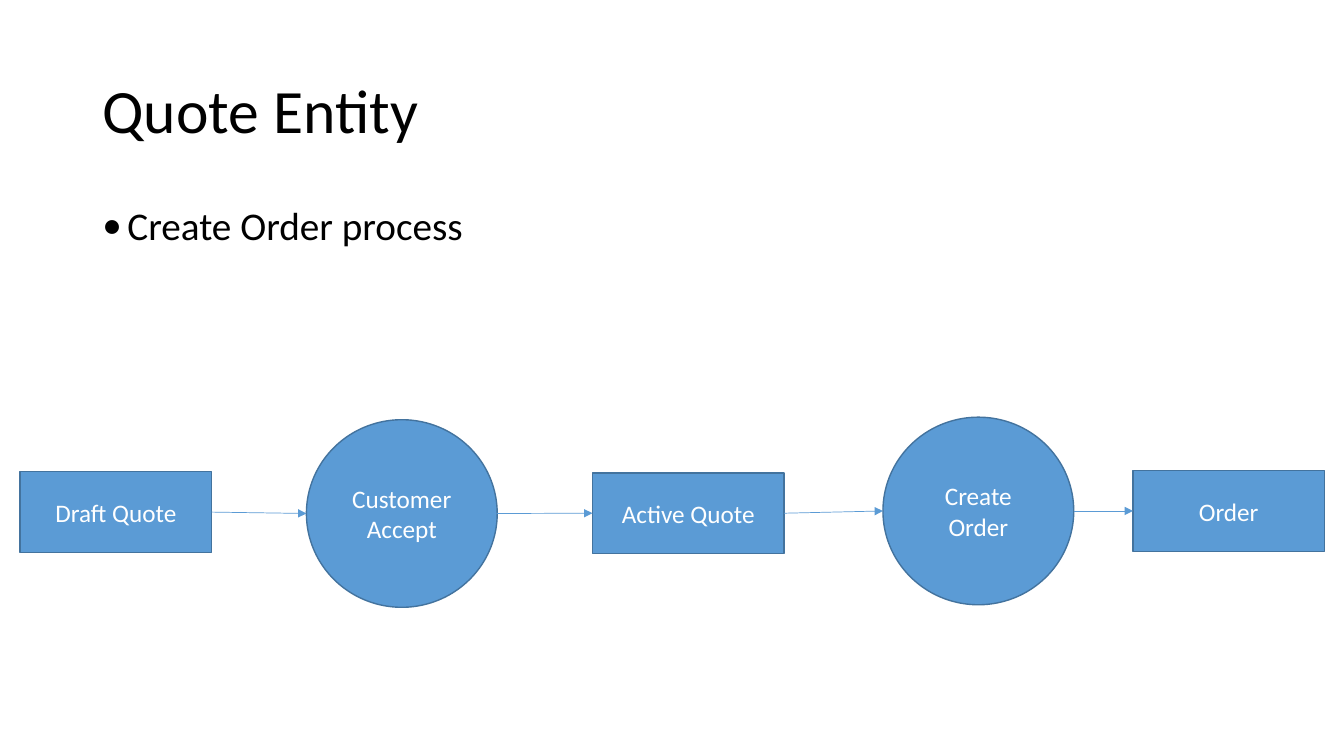
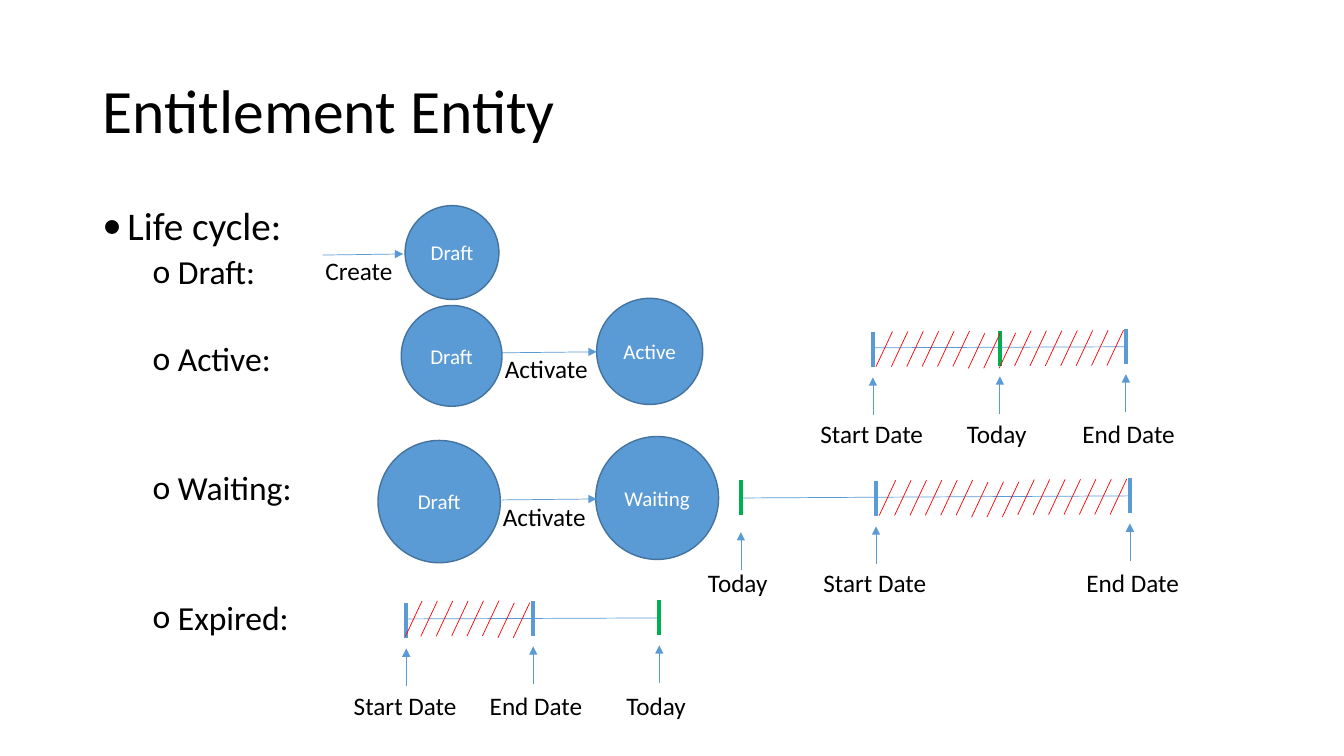
from pptx import Presentation
from pptx.dml.color import RGBColor
from pptx.enum.shapes import MSO_CONNECTOR as Connector, MSO_SHAPE as Shape
from pptx.enum.text import MSO_ANCHOR as Anchor, PP_ALIGN as Align
from pptx.oxml.ns import qn
from pptx.util import Pt
from lxml.etree import SubElement

BLUE, EDGE, GREEN, RED = "5B9BD5", "43739E", "00B050", "FF0000"
BLACK, WHITE = "000000", "FFFFFF"
FONT = "Calibri"
TITLE_BOX = (66, 28.8, 828, 104.4)
BODY_BOX = (66, 144, 828, 342.7)

LEVELS = [
    {"bullet": "•", "margin": 18, "size": 28},
    {"bullet": "o", "margin": 54, "size": 24},
]

QUOTE_BODY = [("Create Order process", 0, 0)]
QUOTE_STEPS = [
    ("Draft Quote", "entity", 14.4, 365.8),
    ("Customer Accept", "action", 218.9, 366.8),
    ("Active Quote", "entity", 423.2, 366.6),
    ("Create Order", "action", 630.7, 365),
    ("Order", "entity", 809.3, 365),
]
STEP_STYLES = {
    "entity": (Shape.RECTANGLE, 136.8, 57.6),
    "action": (Shape.OVAL, 136.3, 134),
}

LIFE_CYCLE_BODY = [
    ("Life cycle:", 0, 0),
    ("Draft:", 1, 5),
    ("Active:", 1, 36),
    ("Waiting:", 1, 66.5),
    ("Expired:", 1, 66.5),
]
STATES = [
    ("Draft", 289.4, 146.9, 67),
    ("Draft", 286.6, 218.2, 72),
    ("Active", 426.2, 213.1, 75.8),
    ("Draft", 270, 314.6, 87.4),
    ("Waiting", 425.5, 311.8, 87.8),
]
TRANSITIONS = [
    ("Create", (230.4, 182.2), (288, 181.4), (225.4, 178.6, 64.8)),
    ("Activate", (358.6, 252), (426.2, 251.3), (353.5, 249.1, 86.4)),
    ("Activate", (358.6, 357.1), (426.2, 356.4), (352.1, 354.2, 86.4)),
]

DATE_MARKS = {
    "Start Date": (BLUE, 44.6, 93.6),
    "End Date": (BLUE, 38.2, 85),
    "Today": (GREEN, 30.6, 62),
}
TIMELINES = [
    {
        "marks": [("Start Date", 623.5, 236.9, 0), ("Today", 714.2, 236.2, 0),
                  ("End Date", 804.2, 234.7, 0)],
        "axis": (248.4, 247.7), "labels": 295.4, "hatch": (625.7, 262, 16),
    },
    {
        "marks": [("Today", 529.2, 342.7, 4.8), ("Start Date", 625.7, 343.4, 0),
                  ("End Date", 807.1, 341.3, 0)],
        "axis": (355.7, 354.2), "labels": 401.8, "hatch": (628, 368.3, 16),
    },
    {
        "marks": [("Start Date", 290.2, 430.6, 0), ("End Date", 380.9, 429.1, 0),
                  ("Today", 470.9, 428.4, 0)],
        "axis": (442.1, 441.4), "labels": 489.2, "hatch": (289.6, 454.6, 8),
    },
]
TICK_HEIGHT = 25.2
ARROW_GAP, ARROW_LENGTH = 32.6, 27
HATCH_PITCH, HATCH_LEAN, HATCH_RISE = 11, 11.8, 25.2
HATCH_SLOPE, HATCH_SAG, SAGGING = 0.06, 1.5, (6, 7, 8)


def color(code):
    return RGBColor.from_string(code)


def points(values):
    return [Pt(value) for value in values]


def apply_format(target, values):
    for name, value in values.items():
        setattr(target, name, value)


def set_font(paragraph, size, code):
    apply_format(paragraph.font, {"name": FONT, "size": Pt(size)})
    paragraph.font.color.rgb = color(code)


def add_line(slide, start, end, code=BLUE, width=0.5, arrow=False):
    line = slide.shapes.add_connector(Connector.STRAIGHT, *points((*start, *end)))
    line.line.color.rgb = color(code)
    line.line.width = Pt(width)
    properties = line._element.spPr
    if arrow:
        SubElement(properties.find(qn("a:ln")), qn("a:tailEnd"), type="triangle")
    SubElement(properties, qn("a:effectLst"))
    return line


def add_node(slide, kind, text, box, size):
    node = slide.shapes.add_shape(kind, *points(box))
    node.shadow.inherit = False
    node.fill.solid()
    node.fill.fore_color.rgb = color(BLUE)
    node.line.color.rgb = color(EDGE)
    node.line.width = Pt(1)
    apply_format(node.text_frame, {
        "text": text, "word_wrap": " " in text, "vertical_anchor": Anchor.MIDDLE})
    paragraph = node.text_frame.paragraphs[0]
    paragraph.alignment = Align.CENTER
    set_font(paragraph, size, WHITE)
    return node


def add_label(slide, text, left, top, width):
    label = slide.shapes.add_textbox(*points((left, top, width, 29)))
    apply_format(label.text_frame, {"text": text, "word_wrap": True})
    set_font(label.text_frame.paragraphs[0], 18, BLACK)


def add_body(slide, lines):
    frame = slide.shapes.add_textbox(*points(BODY_BOX)).text_frame
    frame.word_wrap = True
    for index, (text, level, space) in enumerate(lines):
        paragraph = frame.add_paragraph() if index else frame.paragraphs[0]
        style = LEVELS[level]
        properties = paragraph._p.get_or_add_pPr()
        properties.set("marL", str(Pt(style["margin"])))
        properties.set("indent", str(Pt(-18)))
        SubElement(properties, qn("a:buFont"), typeface=FONT)
        SubElement(properties, qn("a:buChar"), char=style["bullet"])
        apply_format(paragraph, {
            "text": text, "level": level, "line_spacing": 0.9, "space_before": Pt(space)})
        set_font(paragraph, style["size"], BLACK)


def add_slide(deck, title, body):
    slide = deck.slides.add_slide(deck.slide_layouts[5])
    heading = slide.shapes.title
    apply_format(heading, dict(zip(("left", "top", "width", "height"), points(TITLE_BOX))))
    apply_format(heading.text_frame, {"text": title, "vertical_anchor": Anchor.MIDDLE})
    paragraph = heading.text_frame.paragraphs[0]
    apply_format(paragraph, {"alignment": Align.LEFT, "line_spacing": 0.9})
    set_font(paragraph, 44, BLACK)
    add_body(slide, body)
    return slide


def add_process(slide, steps):
    previous = None
    for text, style, left, middle in steps:
        kind, width, height = STEP_STYLES[style]
        node = add_node(slide, kind, text, (left, middle - height / 2, width, height), 18)
        if previous:
            source, source_style, exit_point = previous
            arrow = add_line(slide, exit_point, (left, middle), arrow=True)
            if source_style == "entity":
                arrow.begin_connect(source, 3)
            if style == "entity":
                arrow.end_connect(node, 1)
        previous = node, style, (left + width, middle)


def add_hatching(slide, left, bottom, count):
    for index in range(count):
        x = left + index * HATCH_PITCH
        y = bottom - index * HATCH_SLOPE + (HATCH_SAG if index in SAGGING else 0)
        add_line(slide, (x, y), (x + HATCH_LEAN, y - HATCH_RISE), RED)


def add_timeline(slide, timeline):
    marks = timeline["marks"]
    axis_start, axis_end = timeline["axis"]
    add_line(slide, (marks[0][1], axis_start), (marks[-1][1], axis_end))
    for name, x, top, drop in marks:
        code, label_offset, label_width = DATE_MARKS[name]
        add_line(slide, (x, top), (x, top + TICK_HEIGHT), code, 3)
        tip = top + ARROW_GAP + drop
        add_line(slide, (x, tip + ARROW_LENGTH), (x, tip), arrow=True)
        add_label(slide, name, x - label_offset, timeline["labels"], label_width)
    add_hatching(slide, *timeline["hatch"])


def main():
    deck = Presentation()
    deck.slide_width, deck.slide_height = Pt(960), Pt(540)

    quote = add_slide(deck, "Quote Entity", QUOTE_BODY)
    add_process(quote, QUOTE_STEPS)

    entitlement = add_slide(deck, "Entitlement Entity", LIFE_CYCLE_BODY)
    for text, left, top, diameter in STATES:
        add_node(entitlement, Shape.OVAL, text, (left, top, diameter, diameter), 15)
    for text, start, end, label_place in TRANSITIONS:
        add_line(entitlement, start, end, arrow=True)
        add_label(entitlement, text, *label_place)
    for timeline in TIMELINES:
        add_timeline(entitlement, timeline)

    deck.save("out.pptx")


if __name__ == "__main__":
    main()
